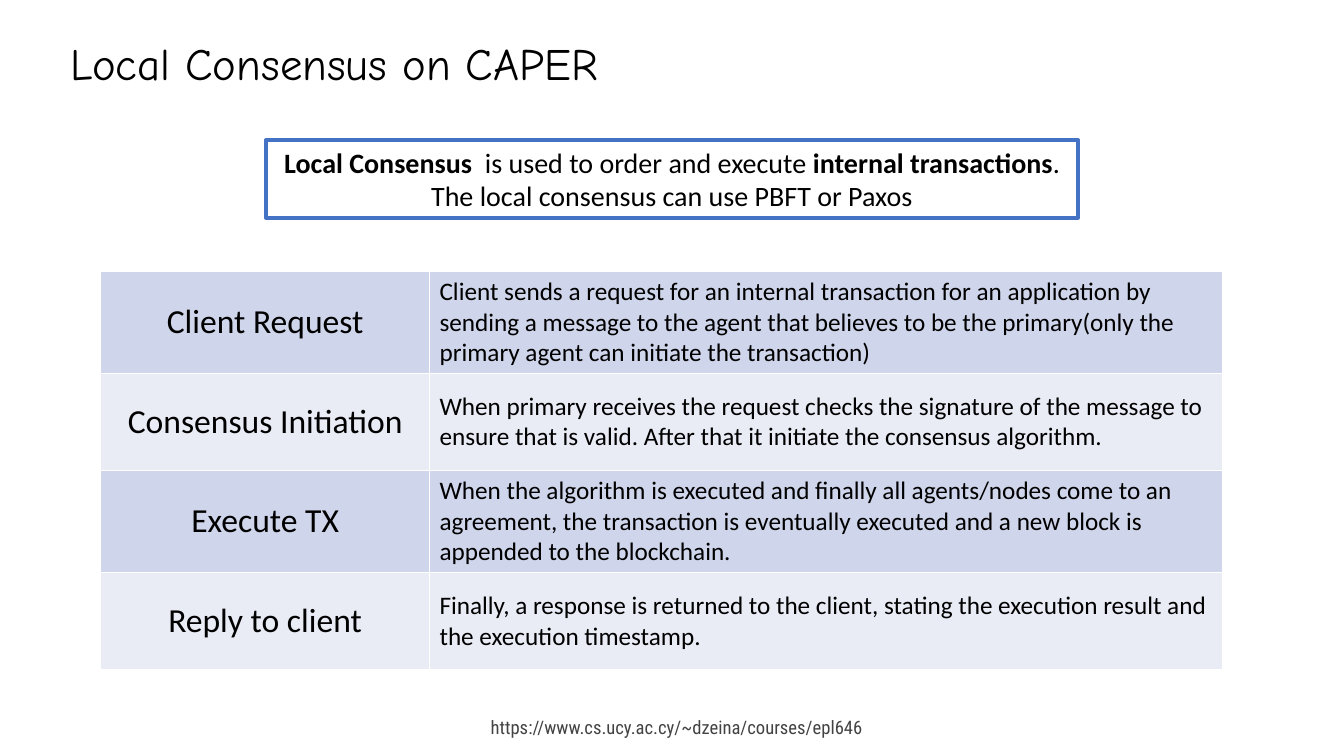
"""Build the slide on local consensus in CAPER."""
from dataclasses import dataclass

import pptx
import pptx.dml.color
import pptx.enum.shapes
import pptx.enum.text
import pptx.oxml
import pptx.oxml.ns
import pptx.util

Inches = pptx.util.Inches
Pt = pptx.util.Pt
RGBColor = pptx.dml.color.RGBColor
PP_ALIGN = pptx.enum.text.PP_ALIGN
MSO_ANCHOR = pptx.enum.text.MSO_ANCHOR
MSO_AUTO_SIZE = pptx.enum.text.MSO_AUTO_SIZE

BLACK = RGBColor(0x00, 0x00, 0x00)
WHITE = RGBColor(0xFF, 0xFF, 0xFF)
GREY = RGBColor(0x43, 0x43, 0x43)
BLUE = RGBColor(0x44, 0x72, 0xC4)
BANDS = (RGBColor(0xCF, 0xD5, 0xEA), RGBColor(0xE9, 0xEB, 0xF5))

TITLE_FONT = {"name": "Comic Neue", "size": Pt(32)}
FOOTER_FONT = {"name": "Roboto Condensed", "size": Pt(13.3)}
SUMMARY_FONT = {"name": "Calibri", "size": Pt(20)}
STEP_FONT = {"name": "Calibri", "size": Pt(24)}
DETAIL_FONT = {"name": "Calibri", "size": Pt(18)}


@dataclass(frozen=True)
class Step:
    name: str
    detail: str


STEPS = (
    Step("Client Request",
         "Client sends a request for an internal transaction for an application by "
         "sending a message to the agent that believes to be the primary(only the "
         "primary agent can initiate the transaction)"),
    Step("Consensus Initiation",
         "When primary receives the request checks the signature of the message to "
         "ensure that is valid. After that it initiate the consensus algorithm."),
    Step("Execute TX",
         "When the algorithm is executed and finally all agents/nodes come to an "
         "agreement, the transaction is eventually executed and a new block is "
         "appended to the blockchain."),
    Step("Reply to client",
         "Finally, a response is returned to the client, stating the execution "
         "result and the execution timestamp."),
)
SUMMARY = (
    ("Local Consensus ", True),
    (" is used to order and execute ", False),
    ("internal transactions", True),
    (". The local consensus can use PBFT or Paxos", False),
)


def add_run(p, text: str, font: dict, color: RGBColor = BLACK, bold: bool = False) -> None:
    r = p.add_run()
    r.text = text
    for name, value in {**font, "bold": bold}.items():
        setattr(r.font, name, value)
    r.font.color.rgb = color


def set_frame(tf, anchor: MSO_ANCHOR, align: PP_ALIGN):
    frame_format = {"word_wrap": True, "auto_size": MSO_AUTO_SIZE.NONE,
                    "vertical_anchor": anchor}
    for name, value in frame_format.items():
        setattr(tf, name, value)
    p = tf.paragraphs[0]
    p.alignment = align
    return p


def add_title(s) -> None:
    sp = s.shapes.title
    place = {"left": 0.6, "top": 0.35, "width": 9.92, "height": 0.6}
    for name, value in place.items():
        setattr(sp, name, Inches(value))
    p = set_frame(sp.text_frame, MSO_ANCHOR.MIDDLE, PP_ALIGN.LEFT)
    p.line_spacing = 0.9
    add_run(p, "Local Consensus on CAPER", TITLE_FONT)


def add_footer(s) -> None:
    sp = s.shapes.add_textbox(Inches(4.38), Inches(7.05), Inches(4.28), Inches(0.33))
    p = set_frame(sp.text_frame, MSO_ANCHOR.TOP, PP_ALIGN.RIGHT)
    add_run(p, "https://www.cs.ucy.ac.cy/~dzeina/courses/epl646", FOOTER_FONT, GREY)


def add_summary(s) -> None:
    sp = s.shapes.add_shape(pptx.enum.shapes.MSO_SHAPE.RECTANGLE,
                            Inches(2.64), Inches(1.39), Inches(8.05), Inches(0.77))
    sp.shadow.inherit = False
    sp.fill.background()
    sp.line.color.rgb = BLUE
    sp.line.width = Pt(3)
    p = set_frame(sp.text_frame, MSO_ANCHOR.TOP, PP_ALIGN.CENTER)
    for text, bold in SUMMARY:
        add_run(p, text, SUMMARY_FONT, bold=bold)


def add_borders(cell) -> None:
    tc_pr = cell._tc.get_or_add_tcPr()
    for side in "LRTB":
        tc_pr.append(pptx.oxml.parse_xml(
            f'<a:ln{side} {pptx.oxml.ns.nsdecls("a")} w="{Pt(1)}"><a:solidFill>'
            f'<a:srgbClr val="{WHITE}"/></a:solidFill></a:ln{side}>'))


def fill_cell(cell, text: str, font: dict, align: PP_ALIGN, band: RGBColor) -> None:
    add_borders(cell)
    cell.fill.solid()
    cell.fill.fore_color.rgb = band
    cell.vertical_anchor = MSO_ANCHOR.MIDDLE
    p = cell.text_frame.paragraphs[0]
    p.alignment = align
    add_run(p, text, font)


def add_steps(s) -> None:
    row_height = Inches(0.96)
    table = s.shapes.add_table(len(STEPS), 2, Inches(1), Inches(2.69),
                               Inches(11.13), row_height * len(STEPS)).table
    table.first_row = False
    table.horz_banding = False
    for column, width in zip(table.columns, (3.26, 7.87)):
        column.width = Inches(width)
    for i, step in enumerate(STEPS):
        table.rows[i].height = row_height
        band = BANDS[i % 2]
        fill_cell(table.cell(i, 0), step.name, STEP_FONT, PP_ALIGN.CENTER, band)
        fill_cell(table.cell(i, 1), step.detail, DETAIL_FONT, PP_ALIGN.LEFT, band)


def main() -> None:
    prs = pptx.Presentation()
    prs.slide_width = Inches(13.33)
    prs.slide_height = Inches(7.5)
    s = prs.slides.add_slide(prs.slide_layouts.get_by_name("Title Only"))
    add_title(s)
    add_footer(s)
    add_summary(s)
    add_steps(s)
    prs.save("out.pptx")


if __name__ == "__main__":
    main()
